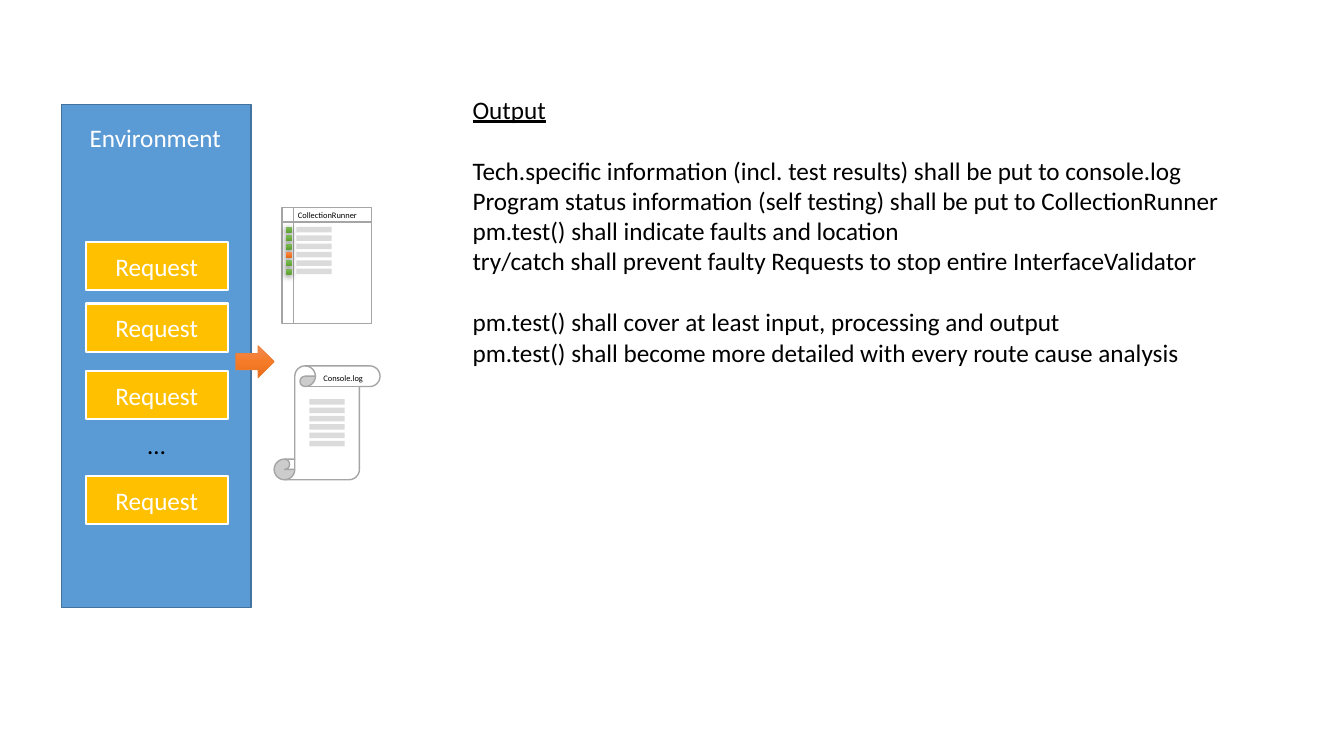
import pptx
import pptx.util
import pptx.dml.color
import pptx.enum.shapes
import pptx.enum.text
import pptx.oxml
import pptx.oxml.ns

Cm, Pt = pptx.util.Cm, pptx.util.Pt
KIND = pptx.enum.shapes.MSO_SHAPE
ALIGN = pptx.enum.text.PP_ALIGN
ANCHOR = pptx.enum.text.MSO_ANCHOR
FIT = pptx.enum.text.MSO_AUTO_SIZE
NS = pptx.oxml.ns.nsdecls("a")

COLORS = {"blue": "5B9BD5", "navy": "43739E", "gold": "FFC000", "white": "FFFFFF",
          "black": "000000", "gray": "A5A5A5", "orange": "ED7D31"}
GREEN = ("81B861", "6FB242", "62A336")
EMBER = ("F18C57", "F67B28", "E56C19")

TOPS = [6.1, 7.65, 9.35, 11.99]
MARKS = [GREEN, GREEN, GREEN, EMBER, GREEN, GREEN]
PITCH = 0.21
BARS = [(7.47, 5.72), (7.8, 10.06)]
NOTES = [
    ("Output", 0),
    ("Tech.specific information (incl. test results) shall be put to console.log", 22),
    ("Program status information (self testing) shall be put to CollectionRunner", 0),
    ("pm.test() shall indicate faults and location", 0),
    ("try/catch shall prevent faulty Requests to stop entire InterfaceValidator", 0),
    ("pm.test() shall cover at least input, processing and output", 22),
    ("pm.test() shall become more detailed with every route cause analysis", 0),
]
LABELS = [
    ((3.48, 10.69, 0.97, 1.02), [("…", 0)], 18, "black", False),
    ((2.01, 2.95, 3.86, 1.02), [("Environment", 0)], 18, "white", False),
    ((11.66, 2.24, 19.56, 8.71), NOTES, 18, "black", False),
    ((7.26, 5.18, 2.01, 0.51), [("CollectionRunner", 0)], 6, "black", True),
    ((7.9, 9.27, 2.01, 0.51), [("Console.log", 0)], 6, "black", True),
]


def color(name):
    return pptx.dml.color.RGBColor.from_string(COLORS[name])


def style(para, size, ink):
    para.font.name = "Calibri"
    para.font.size = Pt(size)
    para.font.color.rgb = color(ink)


def draw(slide, kind, box, fill=None, line=None, width=1):
    shape = slide.shapes.add_shape(kind, *map(Cm, box))
    shape.shadow.inherit = False
    if fill:
        shape.fill.solid()
        shape.fill.fore_color.rgb = color(fill)
    if line:
        shape.line.color.rgb = color(line)
        shape.line.width = Pt(width)
    else:
        shape.line.fill.background()
    return shape


def blend(shape, tones):
    shape.fill.gradient()
    shape.fill.gradient_angle = 270
    stops = shape.element.spPr.find(".//" + pptx.oxml.ns.qn("a:gsLst"))
    for stop in list(stops):
        stops.remove(stop)
    for place, tone in zip((0, 50000, 100000), tones):
        stops.append(pptx.oxml.parse_xml(
            f'<a:gs {NS} pos="{place}"><a:srgbClr val="{tone}"/></a:gs>'))


def shade(shape):
    effect = shape.element.spPr.find(pptx.oxml.ns.qn("a:effectLst"))
    effect.append(pptx.oxml.parse_xml(
        f'<a:outerShdw {NS} blurRad="57150" dist="19050" dir="5400000" algn="ctr" rotWithShape="0">'
        '<a:srgbClr val="000000"><a:alpha val="63000"/></a:srgbClr></a:outerShdw>'))


def fade(shape):
    tint = shape.element.spPr.find(".//" + pptx.oxml.ns.qn("a:srgbClr"))
    tint.append(pptx.oxml.parse_xml(f'<a:alpha {NS} val="40000"/>'))


def label(slide, box, lines, size, ink, wrap):
    frame = slide.shapes.add_textbox(*map(Cm, box)).text_frame
    frame.word_wrap = wrap
    frame.auto_size = FIT.SHAPE_TO_FIT_TEXT
    frame.text = "\n".join(text for text, gap in lines)
    for para, (text, gap) in zip(frame.paragraphs, lines):
        style(para, size, ink)
        para.space_before = Pt(gap)
        if text == "Output":
            para.font.underline = True
            para.runs[0].font.underline = True


def main():
    deck = pptx.Presentation()
    deck.slide_width, deck.slide_height = Cm(33.87), Cm(19.05)
    slide = deck.slides.add_slide(deck.slide_layouts[6])

    draw(slide, KIND.RECTANGLE, (1.55, 2.64, 4.78, 12.67), "blue", "navy")
    for top in TOPS:
        card = draw(slide, KIND.RECTANGLE, (2.16, top, 3.58, 1.22), "gold", "white", 1.5)
        card.text_frame.text = "Request"
        card.text_frame.vertical_anchor = ANCHOR.MIDDLE
        para = card.text_frame.paragraphs[0]
        para.alignment = ALIGN.CENTER
        style(para, 18, "white")

    scroll = draw(slide, KIND.VERTICAL_SCROLL, (6.91, 9.22, 2.67, 2.87), "white", "gray")
    scroll.adjustments[0] = 0.195
    draw(slide, KIND.FLOWCHART_INTERNAL_STORAGE, (7.11, 5.23, 2.26, 2.92), "white", "gray")

    for row, tones in enumerate(MARKS):
        mark = draw(slide, KIND.RECTANGLE, (7.21, 5.72 + row * PITCH, 0.14, 0.14))
        blend(mark, tones)
        shade(mark)
    for left, top in BARS:
        for row in range(len(MARKS)):
            fade(draw(slide, KIND.RECTANGLE, (left, top + row * PITCH, 0.89, 0.14), "gray"))

    for item in LABELS:
        label(slide, *item)

    arrow = draw(slide, KIND.RIGHT_ARROW, (5.94, 8.71, 0.97, 0.81), None, "orange", 0.5)
    blend(arrow, EMBER)
    deck.save("out.pptx")


if __name__ == "__main__":
    main()
